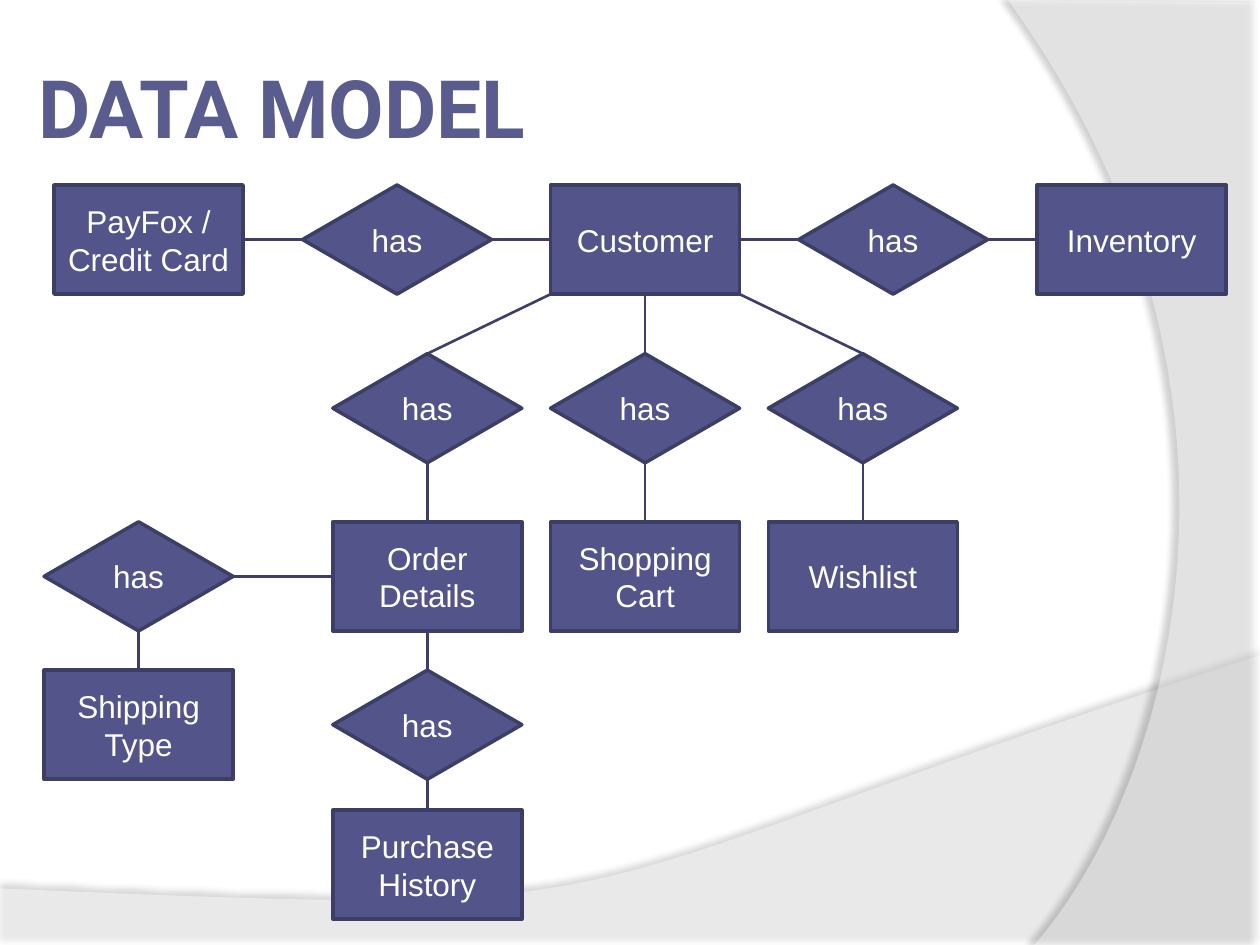
from dataclasses import dataclass

from lxml import etree
from pptx import Presentation
from pptx.dml.color import RGBColor
from pptx.enum import shapes, text
from pptx.oxml import ns
from pptx.util import Cm, Pt


@dataclass(frozen=True)
class Theme:
    entity: str = "53548A"
    border: str = "3D3E66"
    link: str = "3E3F68"
    light: str = "FFFFFF"
    shadow: str = "000000"
    title_stops: tuple = ((0, "7F80A4"), (49, "5B5C8E"), (50, "3E3F79"),
                          (92, "393A6A"), (100, "383968"))
    title_font: str = "Roboto"
    body_font: str = "Arial"
    title_size: int = 46
    body_size: int = 18
    border_width: float = 2
    link_width: float = 1.5


THEME = Theme()
TOP, LEFT, BOTTOM, RIGHT = range(4)
NODE_W, NODE_H = 3.81, 2.2
RECT = shapes.MSO_SHAPE.RECTANGLE
DIAMOND = shapes.MSO_SHAPE.DIAMOND

# Entities and relations: key -> (label, left, top), in cm within the diagram
ROWS = (0, 3.4, 6.79, 9.78, 12.6)
COL_SHIP, COL_ORDER, COL_CART, COL_WISH = 0, 5.82, 10.21, 14.6
ENTITIES = {
    "payment": ("PayFox / Credit Card", 0.2, ROWS[0]),
    "customer": ("Customer", COL_CART, ROWS[0]),
    "inventory": ("Inventory", 20.02, ROWS[0]),
    "order": ("Order Details", COL_ORDER, ROWS[2]),
    "cart": ("Shopping Cart", COL_CART, ROWS[2]),
    "wishlist": ("Wishlist", COL_WISH, ROWS[2]),
    "shipping": ("Shipping Type", COL_SHIP, ROWS[3]),
    "history": ("Purchase History", COL_ORDER, ROWS[4]),
}
RELATIONS = {
    "has payment": ("has", 5.21, ROWS[0]),
    "has inventory": ("has", 15.21, ROWS[0]),
    "has order": ("has", COL_ORDER, ROWS[1]),
    "has cart": ("has", COL_CART, ROWS[1]),
    "has wishlist": ("has", COL_WISH, ROWS[1]),
    "has shipping": ("has", COL_SHIP, ROWS[2]),
    "has history": ("has", COL_ORDER, ROWS[3]),
}
ACROSS = (("payment", "has payment"), ("has payment", "customer"),
          ("customer", "has inventory"), ("has inventory", "inventory"),
          ("has shipping", "order"))
DOWN = (("customer", "has cart"), ("has order", "order"),
        ("has cart", "cart"), ("has wishlist", "wishlist"),
        ("has shipping", "shipping"), ("order", "has history"),
        ("has history", "history"))


def rgb(value):
    return RGBColor.from_string(value)


def write(frame, words, *, font, size, color=None, bold=False,
          align=text.PP_ALIGN.LEFT, inset=None):
    frame.word_wrap = True
    frame.vertical_anchor = text.MSO_ANCHOR.MIDDLE
    if inset is not None:
        frame.margin_left = frame.margin_right = Cm(inset)
        frame.margin_top = frame.margin_bottom = Cm(inset)
    paragraph = frame.paragraphs[0]
    paragraph.alignment = align
    run = paragraph.add_run()
    run.text = words
    run.font.name, run.font.size, run.font.bold = font, Pt(size), bold
    if color:
        run.font.color.rgb = rgb(color)
    return run


def add_color(parent, value, alpha=None):
    color = etree.SubElement(parent, ns.qn("a:srgbClr"), val=value)
    if alpha is not None:
        etree.SubElement(color, ns.qn("a:alpha"), val=str(alpha * 1000))


def bezier(start, c1, c2, end, steps=48):
    for i in range(1, steps + 1):
        t = i / steps
        s = 1 - t
        yield tuple(s**3 * a + 3 * s * s * t * b + 3 * s * t * t * c + t**3 * d
                    for a, b, c, d in zip(start, c1, c2, end))


def add_wave(slide, box, corners, curve, *, alpha, shadow):
    """Translucent sheet: straight corners, then a curve from the last one."""
    left, top = box
    points = [*corners, *bezier(corners[-1], *curve)]
    points = [(Cm(left + x), Cm(top + y)) for x, y in points]
    builder = slide.shapes.build_freeform(*points[0], scale=1.0)
    builder.add_line_segments(points[1:], close=True)
    wave = builder.convert_to_shape()
    wave.fill.solid()
    wave.fill.fore_color.rgb = rgb(THEME.light)
    wave.line.fill.background()
    wave.shadow.inherit = False
    properties = wave._element.spPr
    fill_color = properties.find(ns.qn("a:solidFill"))[0]
    etree.SubElement(fill_color, ns.qn("a:alpha"), val=str(alpha * 1000))
    strength, blur, distance, angle = shadow
    outer = etree.SubElement(
        properties.find(ns.qn("a:effectLst")), ns.qn("a:outerShdw"),
        blurRad=str(Pt(blur)), dist=str(Pt(distance)),
        dir=str(angle * 60000), algn="ctr", rotWithShape="0")
    add_color(outer, THEME.shadow, strength)


def add_background(slide, box):
    left, top = box
    # Low wave along the bottom edge
    add_wave(slide, (left, top + 13.21),
             [(25.4, 0), (25.4, 5.87), (0, 5.87), (0, 4.7)][::-1],
             [(9.93, 5.05), (14.2, 5.31), (25.4, 0)][::-1]
             and [(9.93, 5.05), (14.2, 5.31), (0, 4.7)],
             alpha=45, shadow=(35, 4, 3.5, 270))
    # Arc along the right edge
    add_wave(slide, (left + 20.32, top),
             [(5.08, 0.05), (5.08, 19.05), (0.53, 19.05)],
             [(3.43, 15.72), (5.54, 7.62), (0, 0)],
             alpha=40, shadow=(45, 4, 4, 180))


def add_title(slide, box, words):
    title = slide.shapes.add_textbox(*map(Cm, box))
    run = write(title.text_frame, words, font=THEME.title_font,
                size=THEME.title_size, bold=True, inset=0.13)
    run.font.fill.gradient()
    run.font.fill.gradient_angle = 270
    stops = run._r.get_or_add_rPr().find(".//" + ns.qn("a:gsLst"))
    for stop in list(stops):
        stops.remove(stop)
    for position, value in THEME.title_stops:
        stop = etree.SubElement(stops, ns.qn("a:gs"), pos=str(position * 1000))
        add_color(stop, value)


def add_node(slide, kind, box, label):
    node = slide.shapes.add_shape(kind, *map(Cm, box))
    node.shadow.inherit = False
    node.fill.solid()
    node.fill.fore_color.rgb = rgb(THEME.entity)
    node.line.color.rgb = rgb(THEME.border)
    node.line.width = Pt(THEME.border_width)
    write(node.text_frame, label, font=THEME.body_font, size=THEME.body_size,
          color=THEME.light, align=text.PP_ALIGN.CENTER)
    return node


def add_link(slide, end, end_side, start=None, start_side=None, corner=(0, 0)):
    """Link two node sides, or a free corner point and a node side."""
    link = slide.shapes.add_connector(shapes.MSO_CONNECTOR.STRAIGHT,
                                      *corner, *corner)
    if start is not None:
        link.begin_connect(start, start_side)
    link.end_connect(end, end_side)
    link.line.color.rgb = rgb(THEME.link)
    link.line.width = Pt(THEME.link_width)
    etree.SubElement(link._element.spPr, ns.qn("a:effectLst"))


def add_diagram(slide, box):
    left, top = box
    nodes = {}
    for kind, group in ((RECT, ENTITIES), (DIAMOND, RELATIONS)):
        for key, (label, x, y) in group.items():
            nodes[key] = add_node(slide, kind,
                                  (left + x, top + y, NODE_W, NODE_H), label)
    for pairs, start_side, end_side in ((ACROSS, RIGHT, LEFT),
                                        (DOWN, BOTTOM, TOP)):
        for start, end in pairs:
            add_link(slide, nodes[end], end_side, nodes[start], start_side)
    # Slanted links leave the lower corners of the customer
    customer = nodes["customer"]
    floor = customer.top + customer.height
    for key, x in (("has order", customer.left),
                   ("has wishlist", customer.left + customer.width)):
        add_link(slide, nodes[key], TOP, corner=(x, floor))


def main():
    deck = Presentation()
    deck.slide_width, deck.slide_height = Cm(25.4), Cm(19.05)
    slide = deck.slides.add_slide(deck.slide_layouts[6])
    add_background(slide, (0, 0))
    add_title(slide, (0.64, 0.56, 24.13, 3.18), "DATA MODEL")
    add_diagram(slide, (0.89, 3.73))
    deck.save("out.pptx")


if __name__ == "__main__":
    main()
